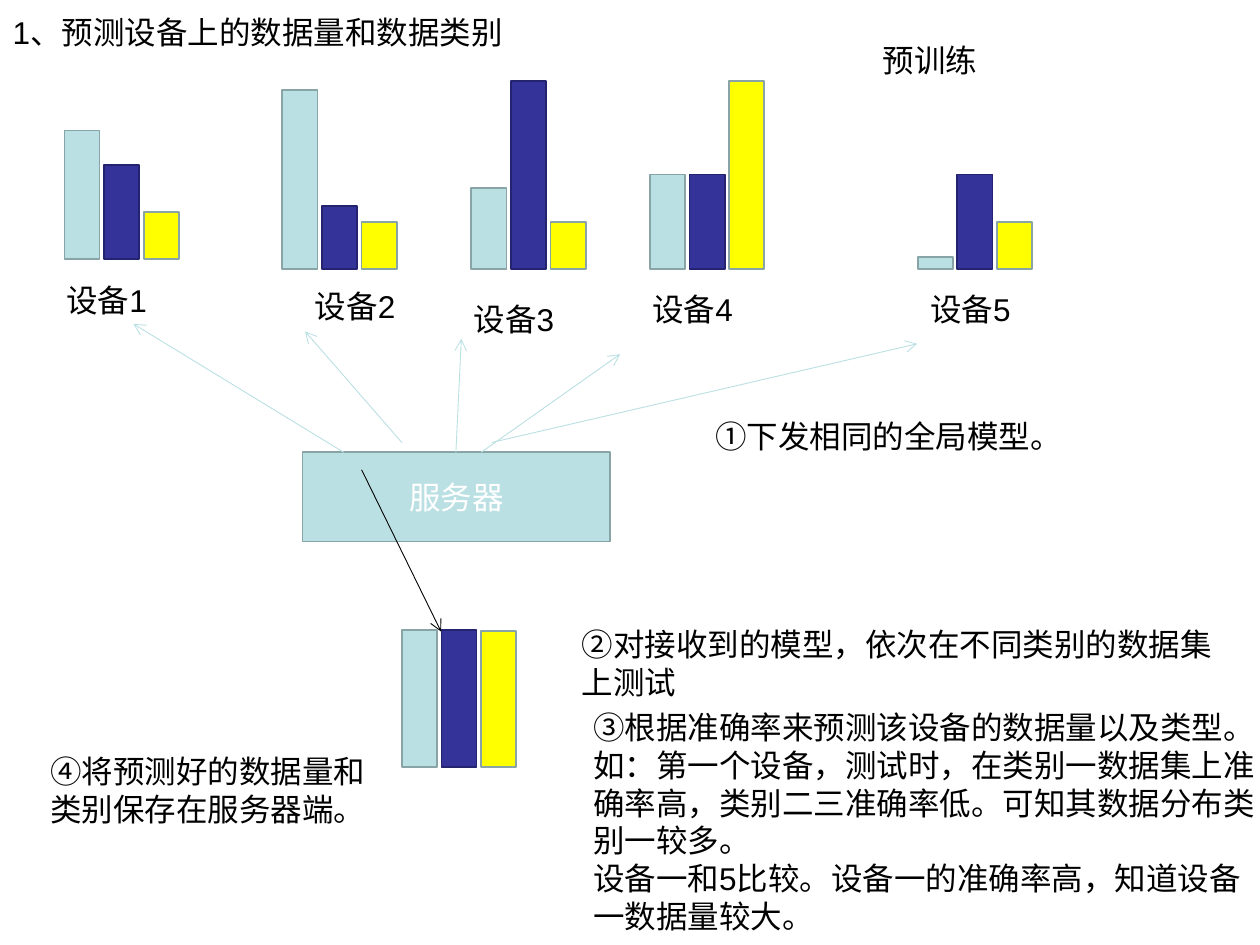
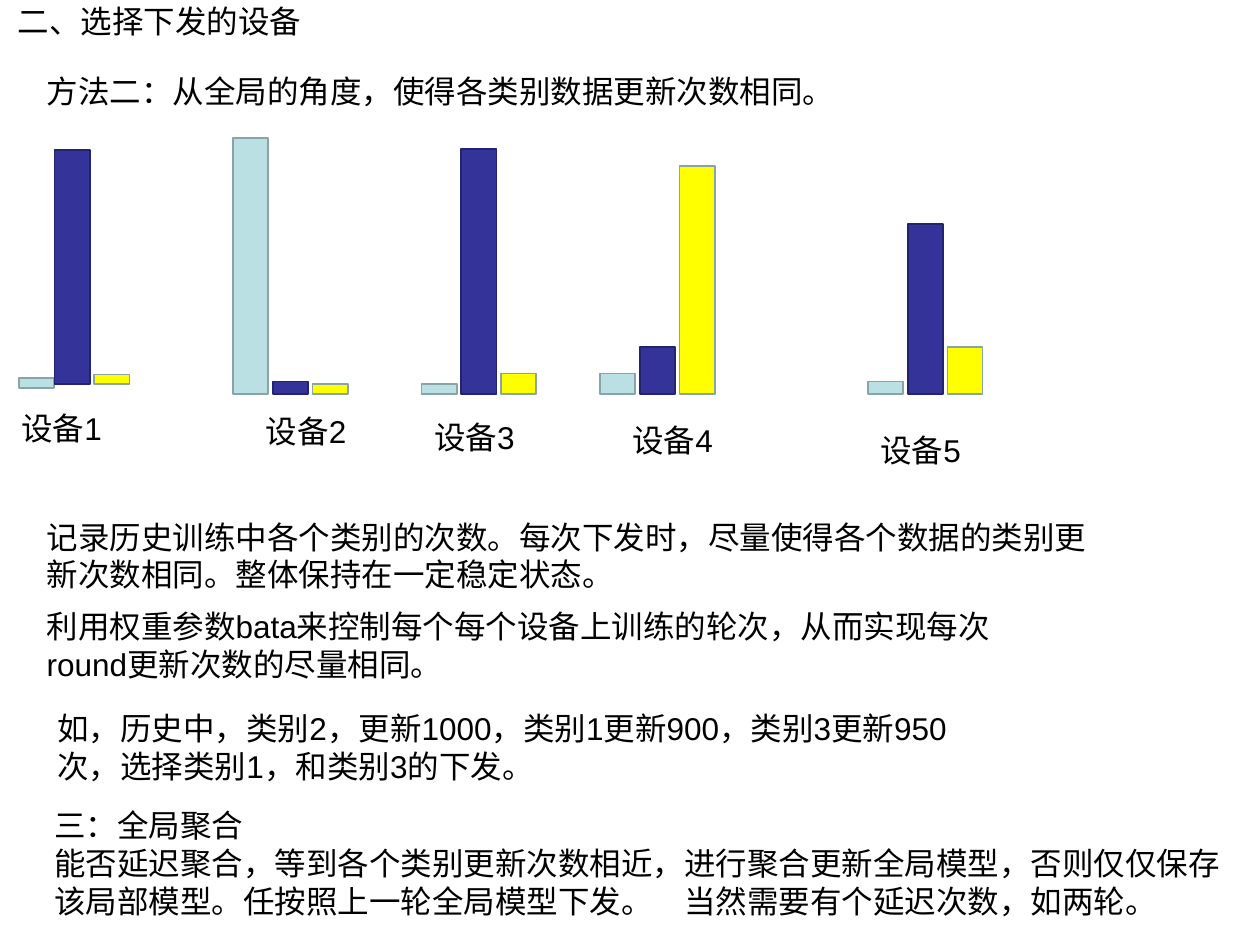
"""Build two slides on predicting device data and choosing devices for model delivery."""
from lxml import etree
from pptx import Presentation
from pptx.dml.color import RGBColor
from pptx.enum.shapes import MSO_CONNECTOR, MSO_SHAPE
from pptx.enum.text import MSO_ANCHOR, MSO_AUTO_SIZE, PP_ALIGN
from pptx.oxml.ns import qn
from pptx.util import Cm, Pt

RECT = MSO_SHAPE.RECTANGLE
STRAIGHT = MSO_CONNECTOR.STRAIGHT
LEFT, CENTER = PP_ALIGN.LEFT, PP_ALIGN.CENTER
TOP, MIDDLE = MSO_ANCHOR.TOP, MSO_ANCHOR.MIDDLE
NO_FIT = MSO_AUTO_SIZE.NONE

BLACK = RGBColor(0x00, 0x00, 0x00)
WHITE = RGBColor(0xFF, 0xFF, 0xFF)
TEAL = RGBColor(0xBB, 0xE0, 0xE3)
TEAL_EDGE = RGBColor(0x89, 0xA4, 0xA7)
NAVY = RGBColor(0x33, 0x33, 0x99)
NAVY_EDGE = RGBColor(0x23, 0x23, 0x6F)
YELLOW = RGBColor(0xFF, 0xFF, 0x00)

FONT = "Arial"
BAR_COLORS = [(TEAL, TEAL_EDGE), (NAVY, NAVY_EDGE), (YELLOW, TEAL_EDGE)]
BAR_WIDTH, BAR_STEP = 0.71, 0.8
LABEL_WIDTH, LABEL_HEIGHT = 2.8, 0.95


def write(sp, text, box, color=BLACK, size=18, align=LEFT, anchor=TOP):
    """Place a shape and fill it with formatted text, one paragraph per line."""
    sp.left, sp.top, sp.width, sp.height = [Cm(v) for v in box]
    tf = sp.text_frame
    tf.word_wrap = True
    tf.auto_size = NO_FIT
    tf.vertical_anchor = anchor
    tf.text = text
    for p in tf.paragraphs:
        p.alignment = align
        for r in p.runs:
            r.font.name = FONT
            r.font.size = Pt(size)
            r.font.color.rgb = color


def add_rect(s, x, y, w, h, fill, edge):
    """Add a flat rectangle with a thin edge."""
    sp = s.shapes.add_shape(RECT, Cm(x), Cm(y), Cm(w), Cm(h))
    sp.shadow.inherit = False
    sp.fill.solid()
    sp.fill.fore_color.rgb = fill
    sp.line.color.rgb = edge
    sp.line.width = Pt(1)
    return sp


slides = [
    {
        "title": ("1、预测设备上的数据量和数据类别", (0, 0.13, 12.14, 1.02)),
        "bars": [
            (1.3, 5.22, (2.59, 1.9, 0.95)),
            (5.69, 5.42, (3.61, 1.26, 0.95)),
            (9.5, 5.42, (1.63, 3.78, 0.95)),
            (13.1, 5.42, (1.9, 1.9, 3.78)),
            (18.5, 5.42, (0.24, 1.9, 0.95)),
            (8.1, 15.47, (2.77, 2.77, 2.75)),
        ],
        "labels": [(1.09, 5.54), (6.1, 5.66), (9.3, 5.92), (12.9, 5.72), (18.5, 5.72)],
        "texts": [
            ("预训练", (17.55, 0.71, 6.15, 1.02)),
            ("①下发相同的全局模型。", (14.17, 8.28, 8.33, 1.02)),
            ("②对接收到的模型，依次在不同类别的数据集上测试", (11.48, 12.47, 13.54, 1.78)),
            ("③根据准确率来预测该设备的数据量以及类型。\n"
             "如：第一个设备，测试时，在类别一数据集上准确率高，类别二三准确率低。"
             "可知其数据分布类别一较多。\n"
             "设备一和5比较。设备一的准确率高，知道设备一数据量较大。",
             (11.71, 14.15, 14.15, 5.36)),
            ("④将预测好的数据量和类别保存在服务器端。", (0.76, 15.04, 6.91, 2.49)),
        ],
    },
    {
        "title": ("二、选择下发的设备", (0.1, -0.08, 12.7, 1.02)),
        "bars": [
            (0.38, 7.82, (0.2,)),
            (0.3, 7.75, (0, 4.72, 0.2)),
            (4.7, 7.94, (5.16, 0.25, 0.2)),
            (8.5, 7.94, (0.2, 4.93, 0.41)),
            (12.1, 7.94, (0.41, 0.95, 4.6)),
            (17.5, 7.94, (0.25, 3.43, 0.95)),
        ],
        "labels": [(0.18, 8.13), (5.11, 8.18), (8.5, 8.31), (12.5, 8.36), (17.5, 8.56)],
        "texts": [
            ("方法二：从全局的角度，使得各类别数据更新次数相同。", (0.69, 1.32, 23.7, 1.78)),
            ("记录历史训练中各个类别的次数。每次下发时，尽量使得各个数据的类别更新次数相同。"
             "整体保持在一定稳定状态。", (0.69, 10.31, 21.69, 2.54)),
            ("利用权重参数bata来控制每个每个设备上训练的轮次，"
             "从而实现每次round更新次数的尽量相同。", (0.69, 12.12, 20.55, 2.54)),
            ("如，历史中，类别2，更新1000，类别1更新900，类别3更新950次，"
             "选择类别1，和类别3的下发。", (0.91, 14.17, 18.9, 1.78)),
            ("三：全局聚合\n"
             "能否延迟聚合，等到各个类别更新次数相近，进行聚合更新全局模型，"
             "否则仅仅保存该局部模型。任按照上一轮全局模型下发。　当然需要有个延迟次数，如两轮。",
             (0.84, 16.13, 24, 2.54)),
        ],
    },
]

prs = Presentation()
prs.slide_width, prs.slide_height = Cm(25.4), Cm(19.05)
title_only = prs.slide_layouts[5]

for content in slides:
    s = prs.slides.add_slide(title_only)
    write(s.shapes.title, *content["title"])
    for x, base, heights in content["bars"]:
        for i, (h, (fill, edge)) in enumerate(zip(heights, BAR_COLORS)):
            if h:
                add_rect(s, x + i * BAR_STEP, base - h, BAR_WIDTH, h, fill, edge)
    labels = [(f"设备{n}", (x, y, LABEL_WIDTH, LABEL_HEIGHT))
              for n, (x, y) in enumerate(content["labels"], 1)]
    for text, box in labels + content["texts"]:
        write(s.shapes.add_textbox(0, 0, 0, 0), text, box)

s = prs.slides[0]
server_box = (6.1, 9.12, 6.2, 1.8)
server = add_rect(s, *server_box, TEAL, TEAL_EDGE)
write(server, "服务器", server_box, color=WHITE, align=CENTER, anchor=MIDDLE)

arrows = [
    (6.93, 9.12, 2.69, 6.53, TEAL),
    (8.1, 8.92, 6.15, 6.68, TEAL),
    (9.19, 9.12, 9.3, 6.83, TEAL),
    (9.7, 9.12, 12.5, 7.14, TEAL),
    (9.91, 8.92, 18.49, 6.93, TEAL),
    (7.29, 9.47, 8.89, 12.73, BLACK),
]
for x1, y1, x2, y2, color in arrows:
    arrow = s.shapes.add_connector(STRAIGHT, Cm(x1), Cm(y1), Cm(x2), Cm(y2))
    arrow.line.color.rgb = color
    arrow.line.width = Pt(0.5)
    etree.SubElement(arrow.line._get_or_add_ln(), qn("a:tailEnd"), type="arrow")
    etree.SubElement(arrow._element.spPr, qn("a:effectLst"))

prs.save("out.pptx")
